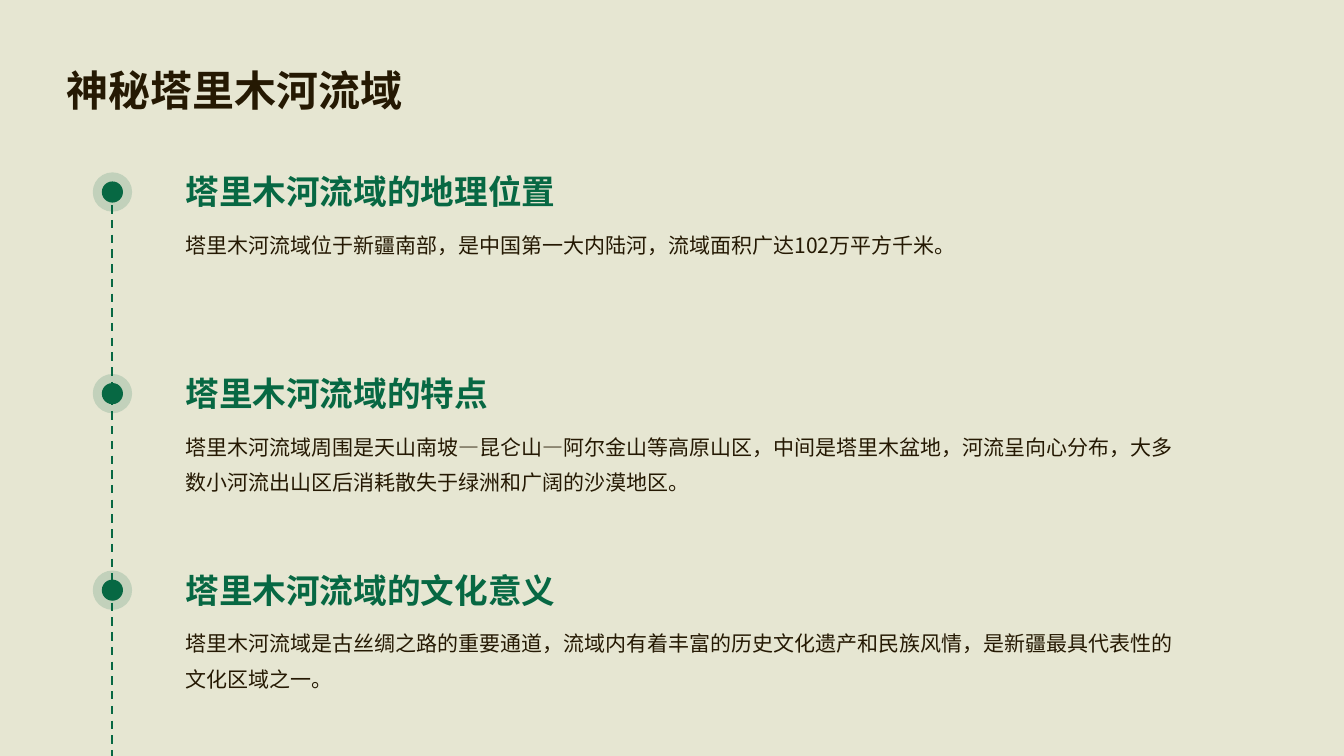
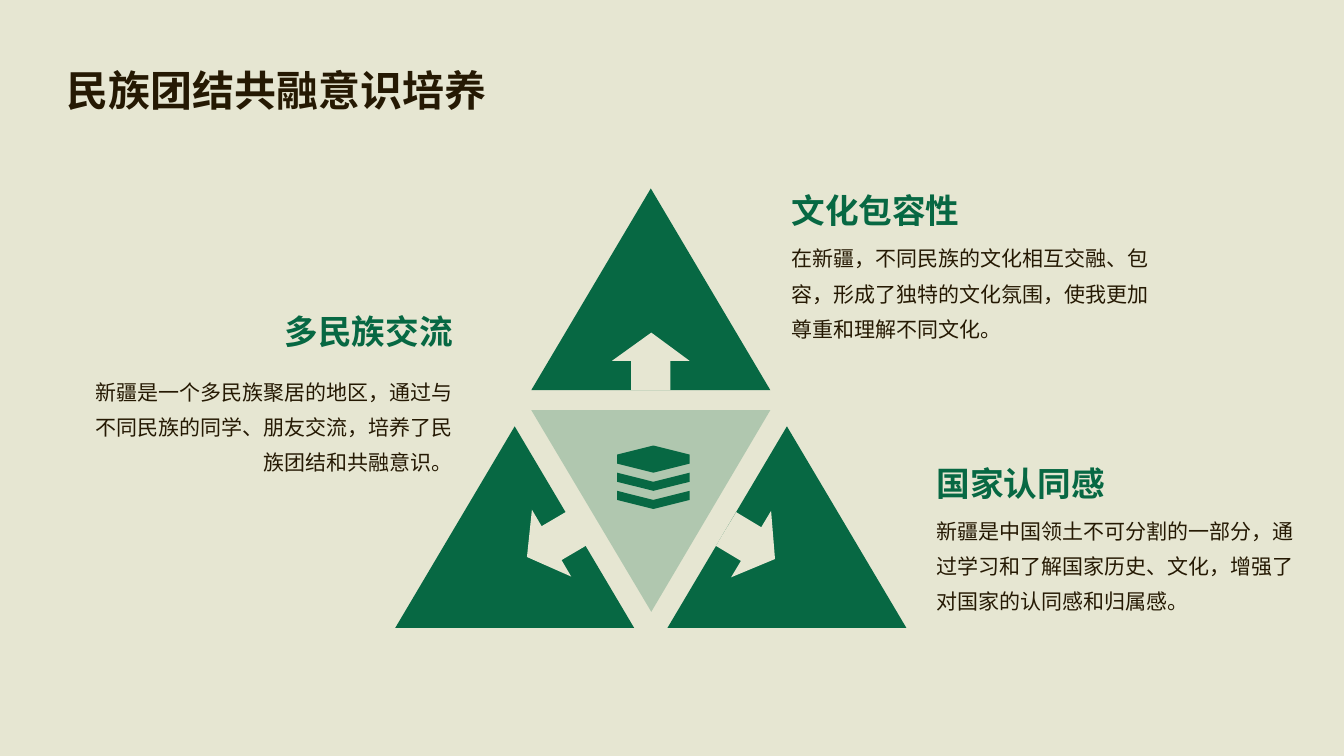
from lxml import etree
from pptx import Presentation
from pptx import util as u
from pptx.dml.color import RGBColor
from pptx.enum import dml, shapes, text
from pptx.oxml.ns import qn

PX = u.Inches(1) // 100  # 100 px to the inch
WIDTH, HEIGHT = 1333, 750
FONT = "Noto Sans CJK SC"
CREAM, GREEN, BROWN = "E6E6D2", "076843", "251903"

# size, colour, bold, line spacing, anchor
TITLE = (30, BROWN, True, 1.4, text.MSO_ANCHOR.MIDDLE)
HEADING = (24, GREEN, True, 1.2, text.MSO_ANCHOR.BOTTOM)
BODY = (15, BROWN, False, 1.4, text.MSO_ANCHOR.TOP)
PADDED, FLUSH = (14, 14, 6, 14), (0, 0, 0, 0)
LEFT, RIGHT = text.PP_ALIGN.LEFT, text.PP_ALIGN.RIGHT

TIMELINE_TITLE = "神秘塔里木河流域"
# halo top, heading, body
MILESTONES = [
    (171, "塔里木河流域的地理位置",
     "塔里木河流域位于新疆南部，是中国第一大内陆河，流域面积广达102万平方千米。"),
    (371, "塔里木河流域的特点",
     "塔里木河流域周围是天山南坡—昆仑山—阿尔金山等高原山区，中间是塔里木盆地，"
     "河流呈向心分布，大多数小河流出山区后消耗散失于绿洲和广阔的沙漠地区。"),
    (566, "塔里木河流域的文化意义",
     "塔里木河流域是古丝绸之路的重要通道，流域内有着丰富的历史文化遗产和民族风情，"
     "是新疆最具代表性的文化区域之一。"),
]
AXIS_X, HALO, DOT = 111, 39, 21

UNITY_TITLE = "民族团结共融意识培养"
# left, heading top, body top, alignment, heading, body
THEMES = [
    (771, 165, 220, LEFT, "文化包容性",
     "在新疆，不同民族的文化相互交融、包容，形成了独特的文化氛围，使我更加尊重和理解不同文化。"),
    (915, 436, 490, LEFT, "国家认同感",
     "新疆是中国领土不可分割的一部分，通过学习和了解国家历史、文化，增强了对国家的认同感和归属感。"),
    (74, 285, 352, RIGHT, "多民族交流",
     "新疆是一个多民族聚居的地区，通过与不同民族的同学、朋友交流，培养了民族团结和共融意识。"),
]
TRIANGLES = [(662, 423), (392, 423), (527, 187)]
TRIANGLE_SIZE = (237, 200)
CENTRE_TRIANGLE = [(527, 407), (646, 607), (764, 407)]
ARROW = [(39, 0), (0, 28), (19, 28), (19, 57), (58, 57), (58, 28), (77, 28)]
ARROWS = [(607, 330, 0), (706, 511, 121), (509, 510, 239.6)]  # left, top, rotation
ICON_X = (612, 648, 684)
ICON_TOP, ICON_STEP = 451, 18


def rgb(colour):
    return RGBColor.from_string(colour)


def paint(shape, colour, alpha=None):
    """Fill a shape without outline or shadow; alpha is a percentage."""
    shape.shadow.inherit = False
    shape.line.fill.background()
    shape.fill.solid()
    shape.fill.fore_color.rgb = rgb(colour)
    if alpha is not None:
        colour_element = shape.fill._xPr.find(".//" + qn("a:srgbClr"))
        etree.SubElement(colour_element, qn("a:alpha"), val=str(alpha * 1000))


def add_preset(slide, kind, left, top, width, height, colour, alpha=None):
    shape = slide.shapes.add_shape(kind, left * PX, top * PX, width * PX, height * PX)
    paint(shape, colour, alpha)


def add_outline(slide, contours, colour, alpha=None):
    """Draw closed contours as one freeform."""
    builder = slide.shapes.build_freeform(*contours[0][0], scale=PX)
    for index, points in enumerate(contours):
        if index:
            builder.move_to(*points[0])
        builder.add_line_segments(points[1:], close=True)
    shape = builder.convert_to_shape()
    paint(shape, colour, alpha)
    return shape


def add_text(slide, content, box, style, insets=PADDED, align=LEFT):
    size, colour, bold, spacing, anchor = style
    frame = slide.shapes.add_textbox(*(value * PX for value in box)).text_frame
    frame.word_wrap = True
    frame.vertical_anchor = anchor
    (frame.margin_left, frame.margin_top,
     frame.margin_right, frame.margin_bottom) = (value * PX for value in insets)
    paragraph = frame.paragraphs[0]
    paragraph.alignment = align
    paragraph.line_spacing = spacing
    run = paragraph.add_run()
    run.text = content
    font = run.font
    font.size, font.bold, font.name = u.Pt(size), bold, FONT
    font.color.rgb = rgb(colour)
    etree.SubElement(font._element, qn("a:ea"), typeface=FONT)


def add_dashed_arrow(slide, x, top, bottom):
    connector = slide.shapes.add_connector(
        shapes.MSO_CONNECTOR.STRAIGHT, x * PX, top * PX, x * PX, bottom * PX)
    line = connector.line
    line.color.rgb = rgb(GREEN)
    line.width = u.Pt(1.5)
    line.dash_style = dml.MSO_LINE.DASH
    etree.SubElement(line._get_or_add_ln(), qn("a:tailEnd"), type="triangle")
    etree.SubElement(connector._element.spPr, qn("a:effectLst"))


def add_titled_slide(presentation, title):
    slide = presentation.slides.add_slide(presentation.slide_layouts[6])
    add_text(slide, title, (52, 29, 1229, 100), TITLE)
    return slide


def build_timeline(presentation):
    slide = add_titled_slide(presentation, TIMELINE_TITLE)
    for top, heading, body in MILESTONES:
        add_text(slide, heading, (184, top - 22, 978, 61), HEADING, FLUSH)
        add_text(slide, body, (184, top + 50, 981, 84), BODY, FLUSH)
        for size, alpha in ((DOT, None), (HALO, 16)):
            add_preset(slide, shapes.MSO_SHAPE.OVAL, AXIS_X - size // 2,
                       top + (HALO - size) // 2, size, size, GREEN, alpha)
    add_dashed_arrow(slide, AXIS_X, 189, 759)


def icon_contours():
    """A hexagonal cap above two chevrons."""
    left, middle, right = ICON_X
    half = ICON_STEP // 2
    contours = []
    for layer in range(3):
        y = ICON_TOP + layer * ICON_STEP
        peak = y + half if layer else y - half
        contours.append([(left, y), (middle, peak), (right, y),
                         (right, y + half), (middle, y + ICON_STEP), (left, y + half)])
    return contours


def build_unity(presentation):
    slide = add_titled_slide(presentation, UNITY_TITLE)
    add_outline(slide, [CENTRE_TRIANGLE], GREEN, 24)
    for left, top in TRIANGLES:
        add_preset(slide, shapes.MSO_SHAPE.ISOSCELES_TRIANGLE, left, top, *TRIANGLE_SIZE, GREEN)
    for left, top, rotation in ARROWS:
        points = [(left + x, top + y) for x, y in ARROW]
        add_outline(slide, [points], CREAM).rotation = rotation
    for left, heading_top, body_top, align, heading, body in THEMES:
        add_text(slide, heading, (left, heading_top, 381, 77), HEADING, align=align)
        add_text(slide, body, (left, body_top, 381, 132), BODY, align=align)
    add_outline(slide, icon_contours(), GREEN)


def main():
    presentation = Presentation()
    presentation.slide_width, presentation.slide_height = WIDTH * PX, HEIGHT * PX
    background = presentation.slide_master.background.fill
    background.solid()
    background.fore_color.rgb = rgb(CREAM)
    build_timeline(presentation)
    build_unity(presentation)
    presentation.save("out.pptx")


if __name__ == "__main__":
    main()
